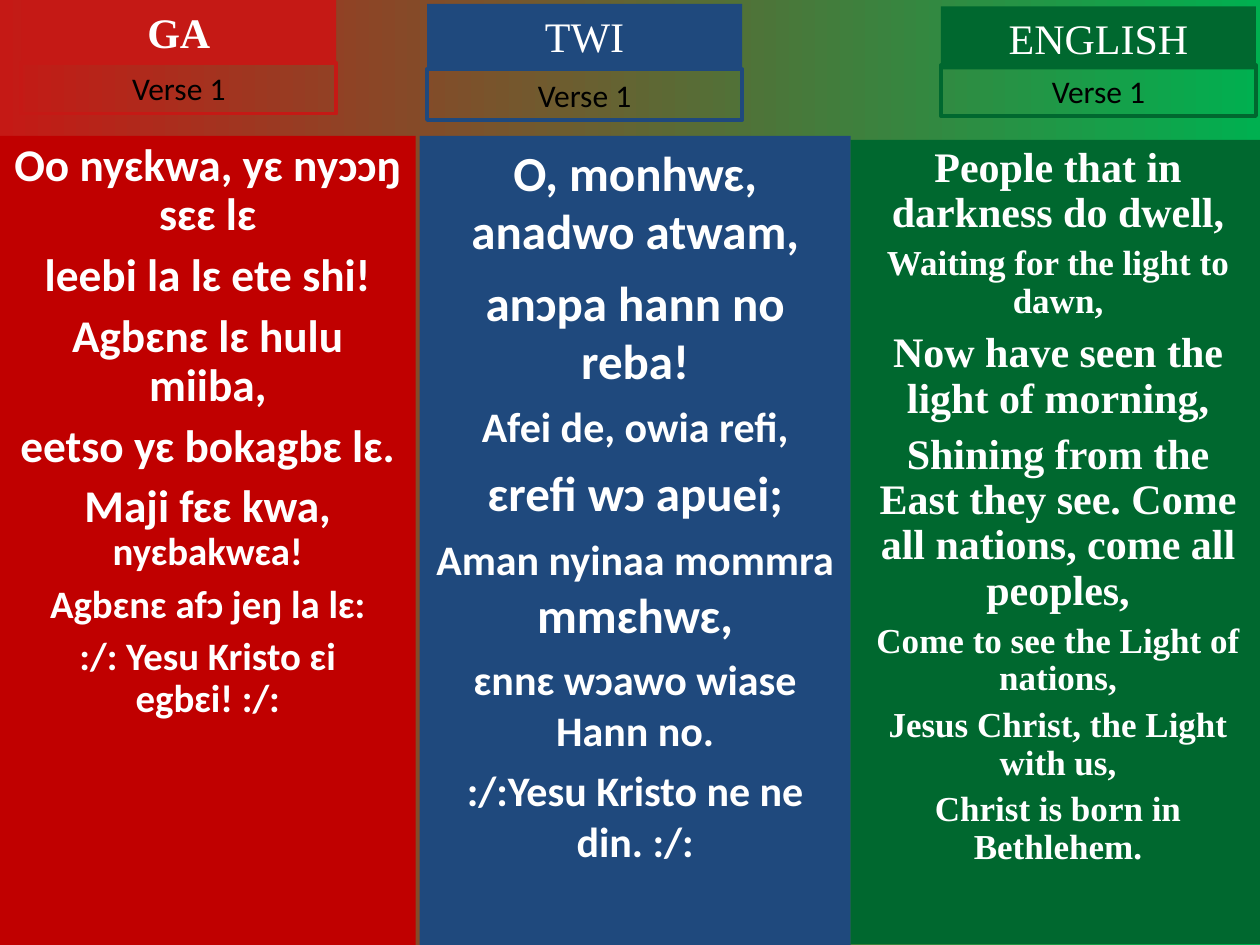
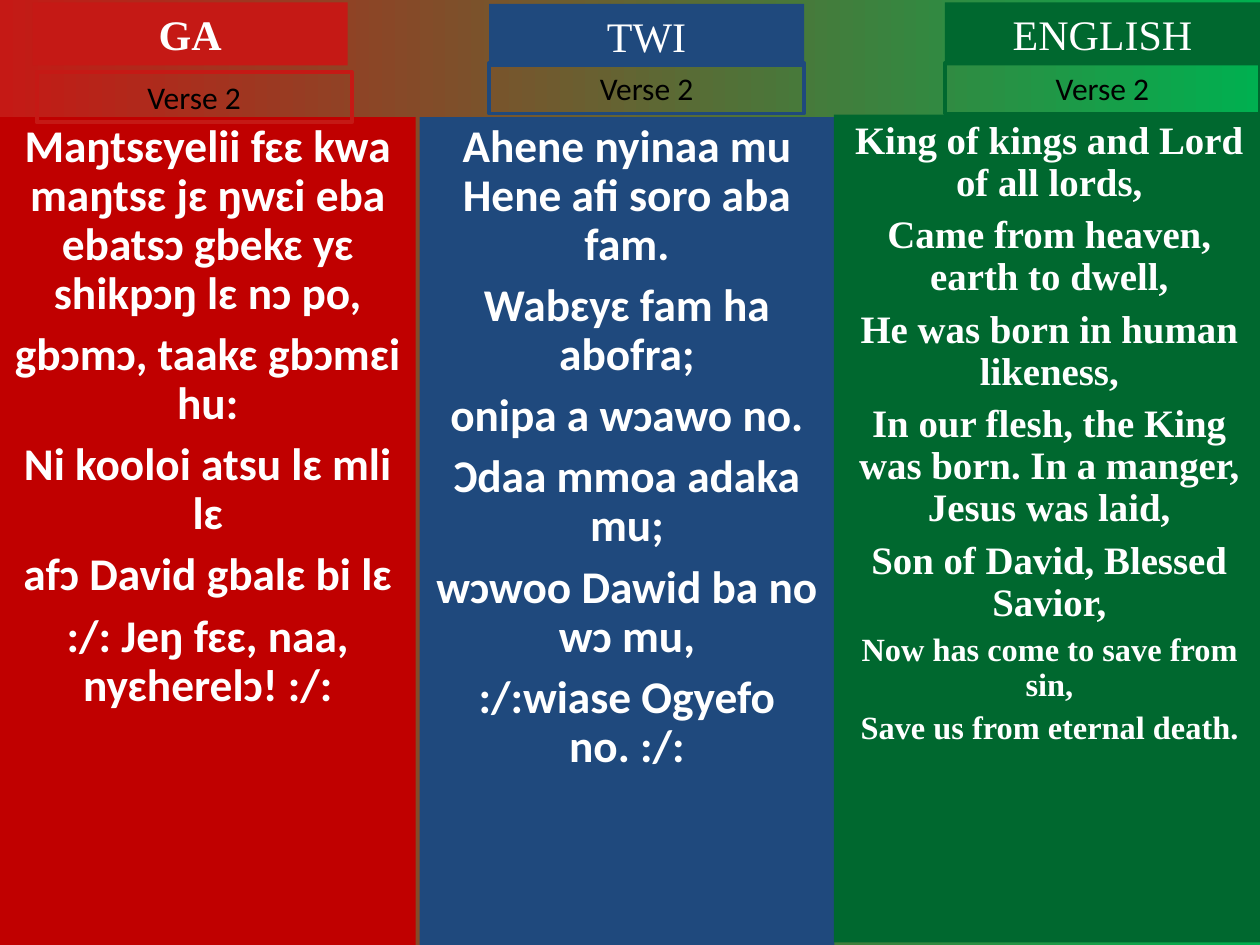
from math import ceil

from pptx import Presentation
from pptx.dml.color import RGBColor
from pptx.enum.shapes import MSO_SHAPE
from pptx.enum.text import MSO_ANCHOR, MSO_AUTO_SIZE, PP_ALIGN
from pptx.util import Cm, Pt

RECTANGLE = MSO_SHAPE.RECTANGLE
CENTER = PP_ALIGN.CENTER
TOP = MSO_ANCHOR.TOP
FIT_SHAPE = MSO_AUTO_SIZE.SHAPE_TO_FIT_TEXT

COLORS = {
    "scarlet": "C51915", "red": "C00000", "blue": "1F497D", "green": "00682F",
    "bright green": "00B050", "white": "FFFFFF", "black": "000000",
}
SANS, SERIF = "Calibri", "Times New Roman"
LABEL_WIDTH, TITLE_HEIGHT, VERSE_HEIGHT = 6.35, 1.27, 1.02

LANGUAGES = {
    "GA": {"label": "scarlet", "column": "red", "font": SANS, "bold title": True},
    "TWI": {"label": "blue", "column": "blue", "font": SANS, "bold title": False},
    "ENGLISH": {"label": "green", "column": "green", "font": SERIF, "bold title": False},
}

# Boxes are (left, top, width, height) and label places (left, top), in cm.
# Each lyric line is a list of (text, size) runs.
VERSES = [
    ("Verse 1", {
        "GA": {
            "box": (0, 2.74, 8.38, 16.31), "title": (0.43, 0), "verse": (0.43, 1.27),
            "spacing": 0.9,
            "lyrics": [
                [("Oo nyɛkwa, yɛ nyɔɔŋ sɛɛ lɛ", 25.9)],
                [("leebi la lɛ ete shi!", 25.9)],
                [("Agbɛnɛ lɛ hulu miiba,", 25.9)],
                [("eetso yɛ bokagbɛ lɛ.", 25.9)],
                [("Maji fɛɛ kwa, ", 25.9), ("nyɛbakwɛa!", 22.2)],
                [("Agbɛnɛ afɔ jeŋ la lɛ:", 22.2)],
                [(":/: Yesu Kristo ɛi egbɛi! :/:", 22.2)],
            ],
        },
        "TWI": {
            "box": (8.46, 2.74, 8.69, 16.31), "title": (8.61, 0.08), "verse": (8.61, 1.4),
            "spacing": 1.0,
            "lyrics": [
                [("O, monhwɛ, anadwo atwam,", 28)],
                [("anɔpa hann no reba!", 28)],
                [("Afei de, owia refi,", 24)],
                [("ɛrefi wɔ apuei;", 28)],
                [("Aman nyinaa mommra ", 24), ("mmɛhwɛ,", 28)],
                [("ɛnnɛ wɔawo wiase Hann no.", 24)],
                [(":/:Yesu Kristo ne ne din. :/:", 24)],
            ],
        },
        "ENGLISH": {
            "box": (17.15, 2.82, 8.36, 16.21), "title": (18.97, 0.13), "verse": (18.97, 1.32),
            "spacing": 0.9,
            "lyrics": [
                [("People that in darkness do dwell,", 24)],
                [("Waiting for the light to dawn,", 20)],
                [("Now have seen the light of morning,", 24)],
                [("Shining from the East they see. Come all nations, come all peoples,", 24)],
                [("Come to see the Light of nations,", 20)],
                [("Jesus Christ, the Light with us,", 20)],
                [("Christ is born in Bethlehem.", 20)],
            ],
        },
    }),
    ("Verse 2", {
        "GA": {
            "box": (0, 2.36, 8.38, 16.69), "title": (0.66, 0.05), "verse": (0.74, 1.45),
            "spacing": 0.9,
            "lyrics": [
                [("Maŋtsɛyelii fɛɛ kwa maŋtsɛ jɛ ŋwɛi eba ebatsɔ gbekɛ yɛ shikpɔŋ lɛ nɔ po,", 25.9)],
                [("gbɔmɔ, taakɛ gbɔmɛi hu:", 25.9)],
                [("Ni kooloi atsu lɛ mli lɛ", 25.9)],
                [("afɔ David gbalɛ bi lɛ", 25.9)],
                [(":/: Jeŋ fɛɛ, naa, nyɛherelɔ! :/:", 25.9)],
            ],
        },
        "TWI": {
            "box": (8.46, 2.36, 8.36, 16.69), "title": (9.86, 0.08), "verse": (9.86, 1.27),
            "spacing": 0.9,
            "lyrics": [
                [("Ahene nyinaa mu Hene afi soro aba fam.", 25.9)],
                [("Wabɛyɛ fam ha abofra;", 25.9)],
                [("onipa a wɔawo no.", 25.9)],
                [("Ɔdaa mmoa adaka mu;", 25.9)],
                [("wɔwoo Dawid ba no wɔ mu,", 25.9)],
                [(":/:wiase Ogyefo no. :/:", 25.9)],
            ],
        },
        "ENGLISH": {
            "box": (16.81, 2.31, 8.69, 16.69), "title": (19.05, 0.05), "verse": (19.05, 1.27),
            "spacing": 0.9,
            "lyrics": [
                [("King of kings and Lord of all lords,", 22.2)],
                [("Came from heaven, earth to dwell,", 22.2)],
                [("He was born in human likeness,", 22.2)],
                [("In our flesh, the King was born. In a manger, Jesus was laid,", 22.2)],
                [("Son of David, Blessed Savior,", 22.2)],
                [("Now has come to save from sin,", 18.5)],
                [("Save us from eternal death.", 18.5)],
            ],
        },
    }),
]


def rgb(color):
    return RGBColor.from_string(COLORS[color])


def paint_background(slide):
    fill = slide.background.fill
    fill.gradient()
    fill.gradient_angle = 0
    for stop, color in zip(fill.gradient_stops, ("scarlet", "bright green")):
        stop.color.rgb = rgb(color)


def add_panel(slide, box, fill=None, outline=None):
    panel = slide.shapes.add_shape(RECTANGLE, *map(Cm, box))
    panel.shadow.inherit = False
    if fill:
        panel.fill.solid()
        panel.fill.fore_color.rgb = rgb(fill)
    else:
        panel.fill.background()
    if outline:
        panel.line.color.rgb = rgb(outline)
        panel.line.width = Pt(2.25)
    else:
        panel.line.fill.background()
    panel.text_frame.word_wrap = True
    panel.text_frame.vertical_anchor = TOP
    return panel.text_frame


def write_lines(frame, lines, font, color, bold=False, spacing=1.0):
    """Write one paragraph per line; the gap above follows the size of its last run."""
    for index, runs in enumerate(lines):
        paragraph = frame.add_paragraph() if index else frame.paragraphs[0]
        paragraph.alignment = CENTER
        paragraph.line_spacing = spacing
        if index:
            paragraph.space_before = Pt(ceil(runs[-1][1] / 4))
        for text, size in runs:
            run = paragraph.add_run()
            run.text = text
            run.font.color.rgb = rgb(color)
            font_format = {"name": font, "size": Pt(size), "bold": bold}
            for attribute, value in font_format.items():
                setattr(run.font, attribute, value)


def add_language(slide, language, verse, part):
    style = LANGUAGES[language]
    lyrics = add_panel(slide, part["box"], fill=style["column"])
    write_lines(lyrics, part["lyrics"], style["font"], "white", True, part["spacing"])

    title = add_panel(slide, (*part["title"], LABEL_WIDTH, TITLE_HEIGHT), fill=style["label"])
    write_lines(title, [[(language, 24)]], SERIF, "white", style["bold title"])

    verse_label = add_panel(slide, (*part["verse"], LABEL_WIDTH, VERSE_HEIGHT),
                            outline=style["label"])
    write_lines(verse_label, [[(verse, 18)]], SANS, "black")
    for label in (title, verse_label):
        label.auto_size = FIT_SHAPE


def main():
    deck = Presentation()
    deck.slide_width, deck.slide_height = Cm(25.4), Cm(19.05)
    blank = deck.slide_layouts[6]
    for verse, parts in VERSES:
        slide = deck.slides.add_slide(blank)
        paint_background(slide)
        for language, part in parts.items():
            add_language(slide, language, verse, part)
    deck.save("out.pptx")


if __name__ == "__main__":
    main()
